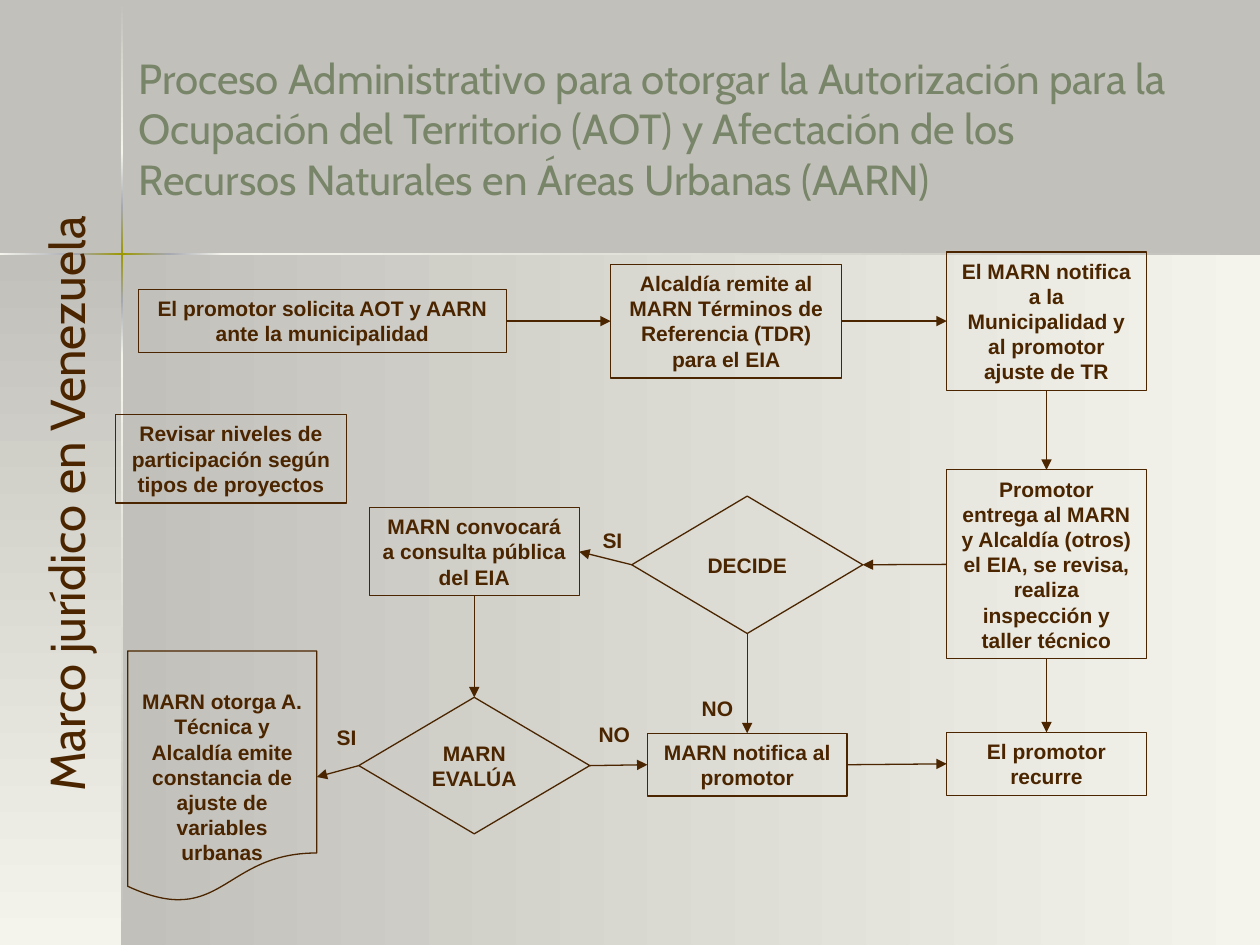
import pptx
import pptx.dml.color
import pptx.enum.shapes
import pptx.enum.text
import pptx.oxml
import pptx.oxml.ns
import pptx.util
from lxml import etree

Pt = pptx.util.Pt
Kind = pptx.enum.shapes.MSO_SHAPE
Anchor = pptx.enum.text.MSO_ANCHOR
Align = pptx.enum.text.PP_ALIGN
qn = pptx.oxml.ns.qn

BROWN, GREEN = "4A2500", "788569"
GRAY, PALE, STEEL, GOLD = "C2C0BA", "F4F4EC", "A5A7AF", "9C9800"
TOP, LEFT, BOTTOM, RIGHT = range(4)
DOWN, ACROSS = 270, 0

PANELS = [
    (70, 145.5, 650, 394.5, ACROSS, (GRAY, PALE)),
    (0, 145.5, 70, 394.5, DOWN, (GRAY, PALE)),
]
ROW = [
    (0, 43.5, (PALE, STEEL)),
    (43.5, 96, (STEEL, GOLD, STEEL)),
    (96, 127.5, (STEEL, PALE)),
    (127.5, 720, (PALE, GRAY)),
]
COLUMN = [
    (0.5, 87, (GRAY, PALE)),
    (87, 119, (PALE, STEEL)),
    (119, 171.5, (STEEL, GOLD, STEEL)),
    (171.5, 203, (STEEL, PALE)),
    (203, 540, (PALE, GRAY)),
]
STEPS = {
    "apply": (Kind.RECTANGLE, 79, 165.5, 210.5, 36,
              "El promotor solicita AOT y AARN ante la municipalidad"),
    "terms": (Kind.RECTANGLE, 349, 151, 132, 65,
              "Alcaldía remite al MARN Términos de Referencia (TDR) para el EIA"),
    "adjust": (Kind.RECTANGLE, 541, 144, 114, 79,
               "El MARN notifica a la Municipalidad y al promotor ajuste de TR"),
    "submit": (Kind.RECTANGLE, 541, 268.5, 114, 108,
               "Promotor entrega al MARN y Alcaldía (otros) el EIA, se revisa, "
               "realiza inspección y taller técnico"),
    "appeal": (Kind.RECTANGLE, 541, 418.5, 114, 36, "El promotor recurre"),
    "notify": (Kind.RECTANGLE, 370, 419, 114, 36, "MARN notifica al promotor"),
    "decide": (Kind.DIAMOND, 361, 283.5, 132, 78.5, "DECIDE"),
    "consult": (Kind.RECTANGLE, 211, 290, 120, 50.5,
                "MARN convocará a consulta pública del EIA"),
    "assess": (Kind.DIAMOND, 205, 398.5, 132, 78, "MARN EVALÚA"),
    "grant": (Kind.FLOWCHART_DOCUMENT, 73, 372, 108, 144, ""),
    "review": (Kind.RECTANGLE, 66, 237, 132, 50.5,
               "Revisar niveles de participación según tipos de proyectos"),
}
LINKS = [
    ("apply", RIGHT, "terms", LEFT),
    ("terms", RIGHT, "adjust", LEFT),
    ("adjust", BOTTOM, "submit", TOP),
    ("submit", BOTTOM, "appeal", TOP),
    ("submit", LEFT, "decide", RIGHT),
    ("decide", LEFT, "consult", RIGHT),
    ("decide", BOTTOM, "notify", TOP),
    ("notify", RIGHT, "appeal", LEFT),
    ("assess", RIGHT, "notify", LEFT),
    ("assess", LEFT, "grant", RIGHT),
    ("consult", BOTTOM, "assess", TOP),
]
LABELS = [
    ("MARN otorga A. Técnica y Alcaldía emite constancia de ajuste de "
     "variables urbanas", 73, 390, 108, 108),
    ("SI", 183, 410.5, 30, 21.5),
    ("SI", 335, 298, 30, 21.5),
    ("NO", 389, 394, 42, 21.5),
    ("NO", 330, 408.5, 42, 21.5),
]


def paint(code):
    return pptx.dml.color.RGBColor.from_string(code)


def write(shape, text, size=12, face="Arial", color=BROWN, bold=True,
          align=Align.CENTER, anchor=Anchor.TOP, side=7.2):
    frame = shape.text_frame
    frame.word_wrap = True
    frame.auto_size = pptx.enum.text.MSO_AUTO_SIZE.NONE
    frame.vertical_anchor = anchor
    frame.margin_left = frame.margin_right = Pt(side)
    frame.margin_top = frame.margin_bottom = Pt(3.6)
    para = frame.paragraphs[0]
    para.alignment = align
    run = para.add_run()
    run.text = text
    font = run.font
    font.size, font.name, font.bold = Pt(size), face, bold
    font.color.rgb = paint(color)


def blend(slide, left, top, width, height, angle, colors):
    shape = slide.shapes.add_shape(
        Kind.RECTANGLE, Pt(left), Pt(top), Pt(width), Pt(height))
    shape.shadow.inherit = False
    shape.line.fill.background()
    shape.fill.gradient()
    shape.fill.gradient_angle = angle
    stops = shape._element.spPr.find(".//" + qn("a:gsLst"))
    for old in list(stops):
        stops.remove(old)
    for i, code in enumerate(colors):
        stop = etree.SubElement(stops, qn("a:gs"))
        stop.set("pos", str(100000 * i // (len(colors) - 1)))
        etree.SubElement(stop, qn("a:srgbClr")).set("val", code)


def step(slide, kind, left, top, width, height, text):
    shape = slide.shapes.add_shape(kind, Pt(left), Pt(top), Pt(width), Pt(height))
    shape.shadow.inherit = False
    shape.fill.background()
    shape.line.color.rgb = paint(BROWN)
    shape.line.width = Pt(0.75)
    if kind == Kind.DIAMOND:
        write(shape, text, anchor=Anchor.MIDDLE, side=0)
    elif text:
        write(shape, text)
    return shape


def arrow(slide, start, out, end, into):
    line = slide.shapes.add_connector(
        pptx.enum.shapes.MSO_CONNECTOR.STRAIGHT, 0, 0, 0, 0)
    line.begin_connect(start, out)
    line.end_connect(end, into)
    line.line.color.rgb = paint(BROWN)
    line.line.width = Pt(0.75)
    tail = etree.SubElement(line.line._get_or_add_ln(), qn("a:tailEnd"))
    tail.set("type", "triangle")
    etree.SubElement(line._element.spPr, qn("a:effectLst"))


def label(slide, text, left, top, width, height, **form):
    box = slide.shapes.add_textbox(Pt(left), Pt(top), Pt(width), Pt(height))
    write(box, text, **form)
    return box


def head(slide, text):
    title = slide.shapes.title
    title.left, title.top = Pt(72), Pt(18)
    title.width, title.height = Pt(606), Pt(102)
    write(title, text, size=24, face="Cabin", color=GREEN, bold=False,
          align=Align.LEFT, anchor=Anchor.BOTTOM)


def main():
    deck = pptx.Presentation()
    deck.slide_width, deck.slide_height = Pt(720), Pt(540)
    slide = deck.slides.add_slide(deck.slide_layouts[5])
    slide.background.fill.solid()
    slide.background.fill.fore_color.rgb = paint(GRAY)
    for panel in PANELS:
        blend(slide, *panel)
    for start, end, colors in ROW:
        blend(slide, start, 144.5, end - start, 1.5, ACROSS, colors)
    for start, end, colors in COLUMN:
        blend(slide, 69, start, 1.5, end - start, DOWN, colors)
    head(slide, "Proceso Administrativo para otorgar la Autorización para la "
                "Ocupación del Territorio (AOT) y Afectación de los Recursos "
                "Naturales en Áreas Urbanas (AARN)")
    side = label(slide, "Marco jurídico en Venezuela", -137, 250.5, 384, 75,
                 size=28, face="Cabin", bold=False)
    side.rotation = 270
    steps = {name: step(slide, *data) for name, data in STEPS.items()}
    for start, out, end, into in LINKS:
        arrow(slide, steps[start], out, steps[end], into)
    for data in LABELS:
        label(slide, *data)
    deck.save("out.pptx")


if __name__ == "__main__":
    main()
